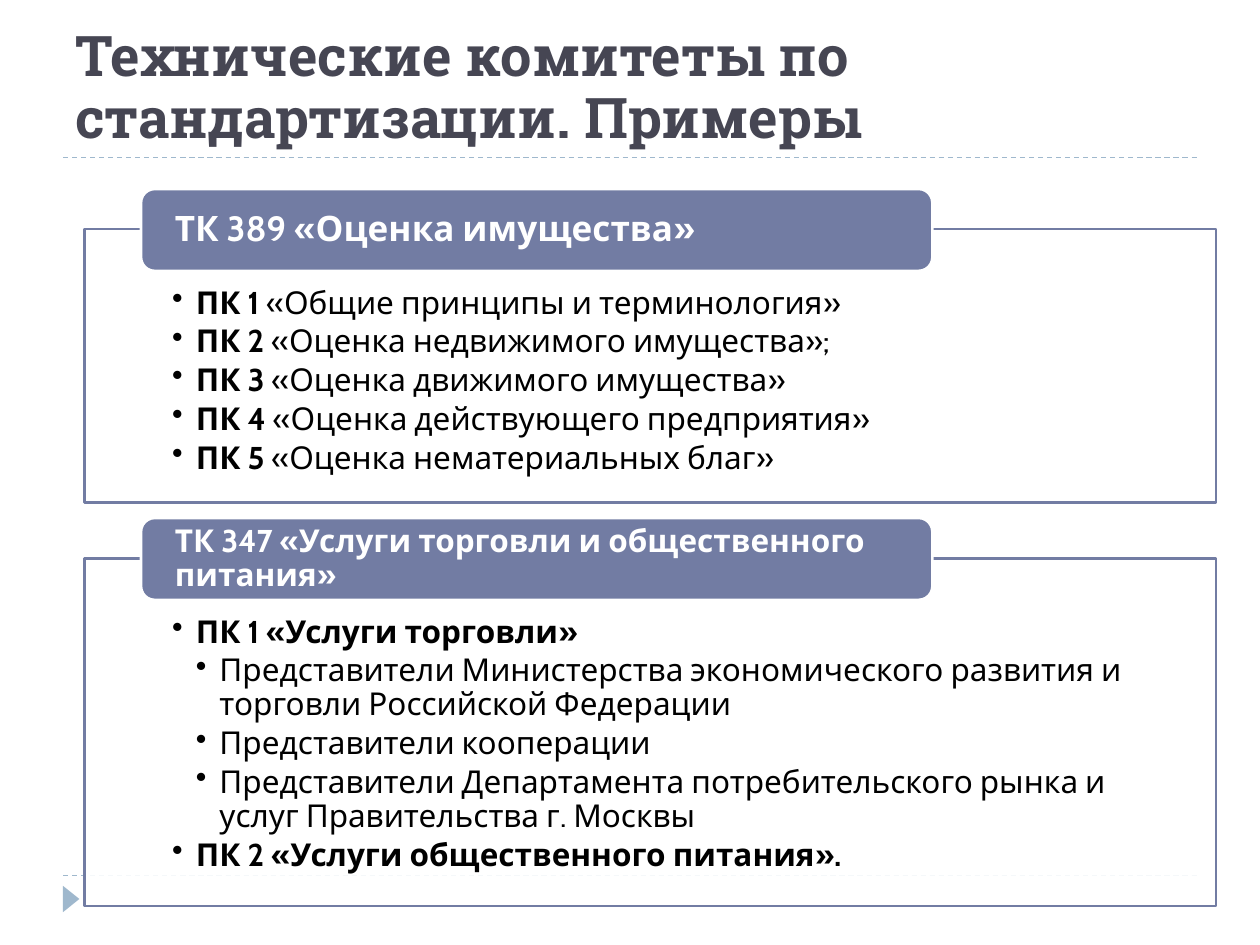
from dataclasses import dataclass

from lxml import etree
from pptx import Presentation
from pptx.dml.color import RGBColor
from pptx.enum.dml import MSO_LINE
from pptx.enum.shapes import MSO_CONNECTOR, MSO_SHAPE
from pptx.enum.text import MSO_ANCHOR, PP_ALIGN
from pptx.oxml.ns import qn
from pptx.util import Pt

DASH = MSO_LINE.DASH
STRAIGHT = MSO_CONNECTOR.STRAIGHT
RECTANGLE = MSO_SHAPE.RECTANGLE
ROUNDED = MSO_SHAPE.ROUNDED_RECTANGLE
TRIANGLE = MSO_SHAPE.ISOSCELES_TRIANGLE
TOP, MIDDLE, BOTTOM = MSO_ANCHOR.TOP, MSO_ANCHOR.MIDDLE, MSO_ANCHOR.BOTTOM
LEFT = PP_ALIGN.LEFT

COLORS = {
    "title": "464653",
    "rule": "9FB8CD",
    "accent": "727CA3",
    "white": "FFFFFF",
    "text": "000000",
}
TITLE_FONT, BODY_FONT = "Roboto Slab", "Cabin"
BODY_SIZE = 18
INDENT = 13.5
FRAME_LEFT, FRAME_WIDTH = 48.2, 646.6
LABEL_LEFT, LABEL_WIDTH, LABEL_HEIGHT = 80.6, 452.2, 46.8
LABEL_RISE = 23


@dataclass
class Item:
    bold: str = ""
    plain: str = ""
    level: int = 1


@dataclass
class Committee:
    name: str
    name_size: float
    top: float
    height: float
    items: list[Item]


COMMITTEES = [
    Committee("ТК 389 «Оценка имущества»", 20, 131, 156.2, [
        Item("ПК 1", " «Общие принципы и терминология»"),
        Item("ПК 2 ", "«Оценка недвижимого имущества»;"),
        Item("ПК 3 ", "«Оценка движимого имущества»"),
        Item("ПК 4", " «Оценка действующего предприятия»"),
        Item("ПК 5", " «Оценка нематериальных благ»"),
    ]),
    Committee("ТК 347 «Услуги торговли и общественного питания»", 18, 319, 198.7, [
        Item("ПК 1 «Услуги торговли»"),
        Item(plain="Представители Министерства экономического развития и "
                   "торговли Российской Федерации", level=2),
        Item(plain="Представители кооперации", level=2),
        Item(plain="Представители Департамента потребительского рынка и "
                   "услуг Правительства г. Москвы", level=2),
        Item("ПК 2 «Услуги общественного питания»."),
    ]),
]


def rgb(name: str) -> RGBColor:
    return RGBColor.from_string(COLORS[name])


def style_font(font, face: str, size: float, color: str) -> None:
    font.name, font.size = face, Pt(size)
    font.color.rgb = rgb(color)


def set_frame(frame, anchor, left: float, top: float, right: float, bottom: float) -> None:
    """Wrap the text and set its anchor and margins."""
    frame.word_wrap = True
    frame.vertical_anchor = anchor
    frame.margin_left, frame.margin_top = Pt(left), Pt(top)
    frame.margin_right, frame.margin_bottom = Pt(right), Pt(bottom)


def add_rule(slide, y: float) -> None:
    rule = slide.shapes.add_connector(STRAIGHT, Pt(36), Pt(y), Pt(684), Pt(y))
    rule.line.color.rgb = rgb("rule")
    rule.line.width = Pt(0.75)
    rule.line.dash_style = DASH
    etree.SubElement(rule._element.spPr, qn("a:effectLst"))


def add_block(slide, preset, left: float, top: float, width: float, height: float,
              fill: str, outline: str | None = None):
    block = slide.shapes.add_shape(preset, Pt(left), Pt(top), Pt(width), Pt(height))
    block.shadow.inherit = False
    block.fill.solid()
    block.fill.fore_color.rgb = rgb(fill)
    if outline:
        block.line.color.rgb = rgb(outline)
        block.line.width = Pt(1.5)
    else:
        block.line.fill.background()
    return block


def set_opacity(block, percent: int) -> None:
    color = block._element.spPr.find(qn("a:solidFill")).find(qn("a:srgbClr"))
    etree.SubElement(color, qn("a:alpha"), val=str(percent * 1000))


def add_bullet(paragraph, level: int) -> None:
    props = paragraph._p.get_or_add_pPr()
    props.set("marL", str(Pt(INDENT * level)))
    props.set("indent", str(-Pt(INDENT)))
    etree.SubElement(props, qn("a:buChar"), char="•")


def write_items(frame, items: list[Item]) -> None:
    for index, item in enumerate(items):
        paragraph = frame.add_paragraph() if index else frame.paragraphs[0]
        paragraph.alignment = LEFT
        paragraph.line_spacing = 0.9
        paragraph.space_after = Pt(2.7)
        add_bullet(paragraph, item.level)
        style_font(paragraph.font, BODY_FONT, BODY_SIZE, "text")
        for words, bold in ((item.bold, True), (item.plain, False)):
            if words:
                run = paragraph.add_run()
                run.text = words
                run.font.bold = bold


def add_committee(slide, committee: Committee) -> None:
    """Draw the framed list with its name label over the top edge."""
    frame = add_block(slide, RECTANGLE, FRAME_LEFT, committee.top, FRAME_WIDTH,
                      committee.height, "white", "accent")
    set_opacity(frame, 90)
    set_frame(frame.text_frame, TOP, 50.2, 33, 50.2, 10)
    write_items(frame.text_frame, committee.items)

    label = add_block(slide, ROUNDED, LABEL_LEFT, committee.top - LABEL_RISE,
                      LABEL_WIDTH, LABEL_HEIGHT, "accent", "white")
    # The preset insets its text by about 2.3 pt at the rounded corners.
    set_frame(label.text_frame, MIDDLE, 17.1, 0, 17.1, 0)
    name = label.text_frame.paragraphs[0]
    name.text = committee.name
    name.alignment = LEFT
    name.line_spacing = 0.9
    style_font(name.font, BODY_FONT, committee.name_size, "white")
    name.font.bold = True


def add_title(slide, words: str) -> None:
    box = slide.shapes.add_textbox(Pt(36), Pt(12.2), Pt(648), Pt(77.8))
    set_frame(box.text_frame, BOTTOM, 7.2, 3.6, 7.2, 3.6)
    title = box.text_frame.paragraphs[0]
    title.text = words
    title.line_spacing = 0.93
    style_font(title.font, TITLE_FONT, 32, "title")
    title.font.bold = True


def main() -> None:
    deck = Presentation()
    deck.slide_width, deck.slide_height = Pt(720), Pt(540)
    slide = deck.slides.add_slide(deck.slide_layouts[6])
    for y in (500.4, 90):
        add_rule(slide, y)
    marker = add_block(slide, TRIANGLE, 33.1, 509, 15.1, 9.4, "rule")
    marker.rotation = 90
    add_title(slide, "Технические комитеты по стандартизации. Примеры")
    for committee in COMMITTEES:
        add_committee(slide, committee)
    deck.save("out.pptx")


if __name__ == "__main__":
    main()
